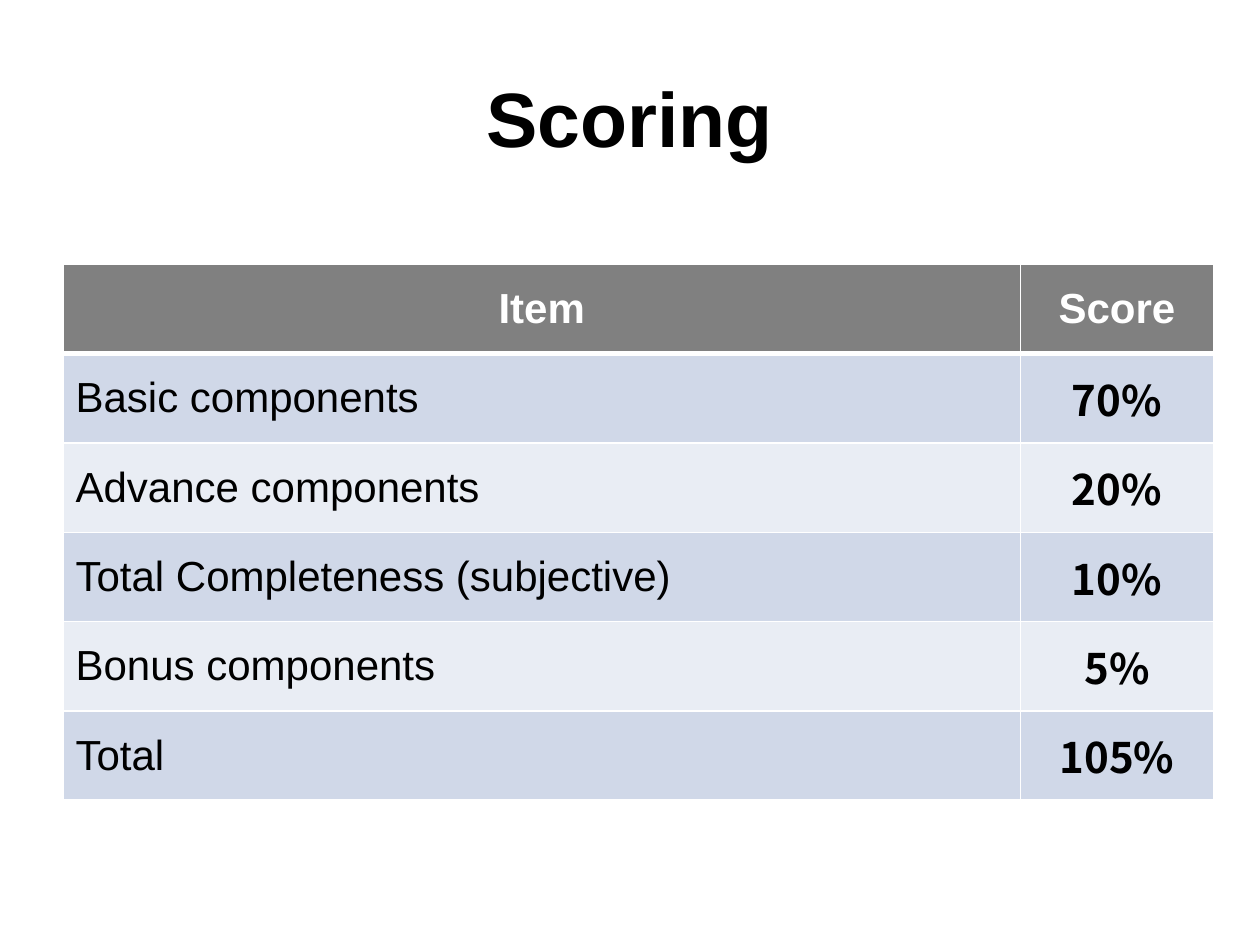
from dataclasses import dataclass

from lxml import etree
from pptx import Presentation
from pptx.dml.color import RGBColor
from pptx.enum.text import MSO_ANCHOR, PP_ALIGN
from pptx.oxml.ns import qn
from pptx.util import Cm, Pt

MIDDLE = MSO_ANCHOR.MIDDLE
LEFT, CENTER = PP_ALIGN.LEFT, PP_ALIGN.CENTER
TITLE_ONLY = 5


@dataclass(frozen=True)
class Theme:
    font: str = "Arial"
    score_font: str = "Noto Sans CJK SC"
    text: str = "000000"
    white: str = "FFFFFF"
    header: str = "808080"
    bands: tuple = ("D0D8E8", "E9EDF4")
    title_size: int = 44
    body_size: int = 24
    rule: int = 1
    header_rule: int = 3


THEME = Theme()
ROWS = [
    ("Item", "Score"),
    ("Basic components", "70%"),
    ("Advance components", "20%"),
    ("Total Completeness (subjective)", "10%"),
    ("Bonus components", "5%"),
    ("Total", "105%"),
]
COLUMN_WIDTHS = (Cm(19.3), Cm(3.89))
ROW_HEIGHT = Cm(1.8)


def set_text(tf, text, size, color, font, bold, align):
    tf.text = text
    tf.vertical_anchor = MIDDLE
    p = tf.paragraphs[0]
    p.alignment = align
    r = p.runs[0]
    r.font.size = Pt(size)
    r.font.name = font
    r.font.bold = bold
    r.font.color.rgb = RGBColor.from_string(color)


def set_borders(cell, top, bottom):
    tcPr = cell._tc.get_or_add_tcPr()
    widths = {"a:lnL": THEME.rule, "a:lnR": THEME.rule, "a:lnT": top, "a:lnB": bottom}
    for tag, width in widths.items():
        ln = etree.SubElement(tcPr, qn(tag), w=str(Pt(width)))
        fill = etree.SubElement(ln, qn("a:solidFill"))
        etree.SubElement(fill, qn("a:srgbClr"), val=THEME.white)


def add_title(s, text):
    sp = s.shapes.title
    sp.left, sp.top, sp.width, sp.height = Cm(1.27), Cm(0.76), Cm(22.86), Cm(3.18)
    set_text(sp.text_frame, text, THEME.title_size, THEME.text, THEME.font, True, CENTER)


def format_cell(cell, text, row, col):
    is_header, is_score = row == 0, col == 1
    set_borders(
        cell,
        top=THEME.header_rule if row == 1 else THEME.rule,
        bottom=THEME.header_rule if is_header else THEME.rule,
    )
    cell.fill.solid()
    band = THEME.bands[(row - 1) % 2]
    cell.fill.fore_color.rgb = RGBColor.from_string(THEME.header if is_header else band)
    set_text(
        cell.text_frame,
        text,
        THEME.body_size,
        THEME.white if is_header else THEME.text,
        THEME.score_font if is_score and not is_header else THEME.font,
        is_header or is_score,
        CENTER if is_header or is_score else LEFT,
    )
    cell.vertical_anchor = MIDDLE


def add_score_table(s, rows):
    table = s.shapes.add_table(
        len(rows), len(COLUMN_WIDTHS), Cm(1.27), Cm(5.33),
        sum(COLUMN_WIDTHS), ROW_HEIGHT * len(rows),
    ).table
    for column, width in zip(table.columns, COLUMN_WIDTHS):
        column.width = width
    for i, values in enumerate(rows):
        table.rows[i].height = ROW_HEIGHT
        for j, text in enumerate(values):
            format_cell(table.cell(i, j), text, i, j)


def main():
    prs = Presentation()
    prs.slide_width, prs.slide_height = Cm(25.4), Cm(19.05)
    s = prs.slides.add_slide(prs.slide_layouts[TITLE_ONLY])
    add_title(s, "Scoring")
    add_score_table(s, ROWS)
    prs.save("out.pptx")


if __name__ == "__main__":
    main()
